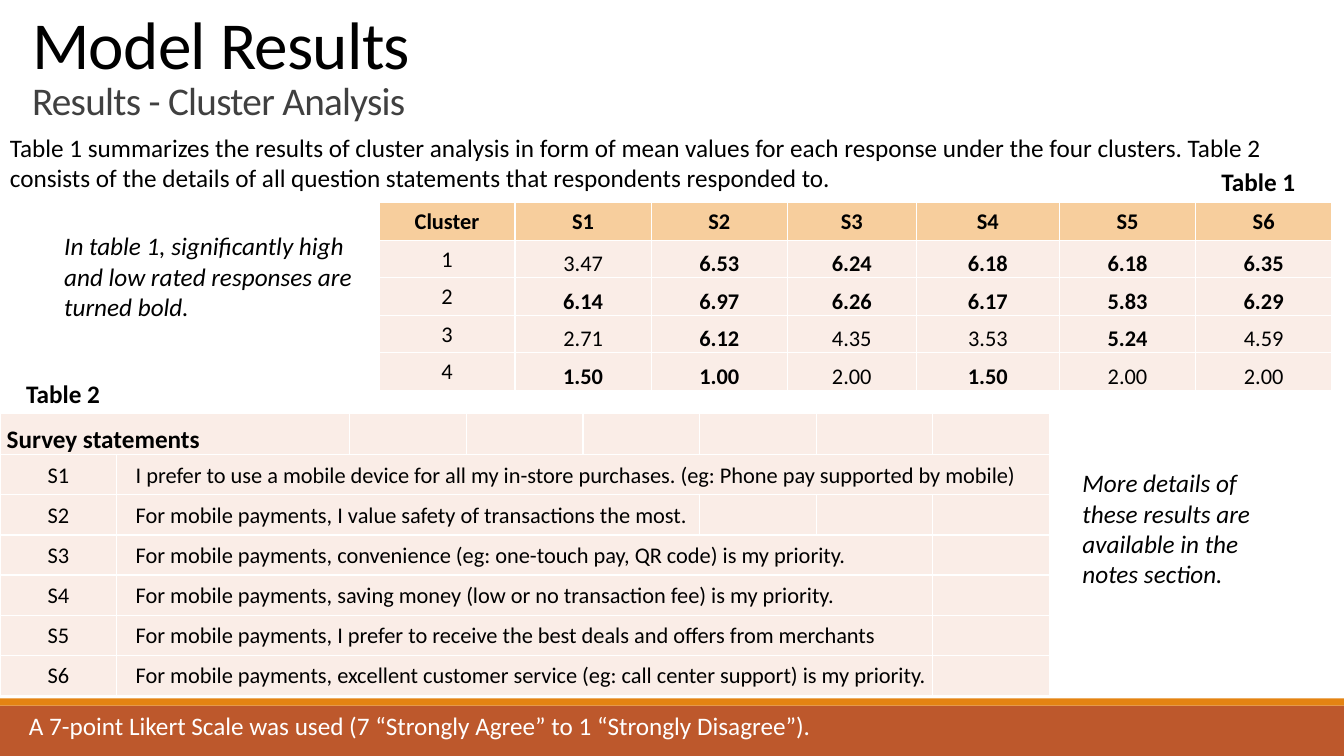
import pptx
import pptx.dml.color
import pptx.enum.shapes
import pptx.enum.text
import pptx.oxml
import pptx.oxml.ns
import pptx.util

Cm = pptx.util.Cm
Pt = pptx.util.Pt
RGBColor = pptx.dml.color.RGBColor
Align = pptx.enum.text.PP_ALIGN
Anchor = pptx.enum.text.MSO_ANCHOR

BLACK = RGBColor(0x00, 0x00, 0x00)
GREY = RGBColor(0x40, 0x40, 0x40)
WHITE = RGBColor(0xFF, 0xFF, 0xFF)
RUST = RGBColor(0xBD, 0x58, 0x2C)
ORANGE = RGBColor(0xE4, 0x83, 0x12)
SAND = RGBColor(0xF7, 0xCE, 0x9D)
BLUSH = RGBColor(0xFA, 0xED, 0xE7)

PAGE_WIDTH, PAGE_HEIGHT = 33.87, 19.05

CLUSTER_WIDTHS = [3.43, 3.43, 3.43, 3.25, 3.61, 3.43, 3.43]
CLUSTER_MEANS = [
    [3.47, 6.53, 6.24, 6.18, 6.18, 6.35],
    [6.14, 6.97, 6.26, 6.17, 5.83, 6.29],
    [2.71, 6.12, 4.35, 3.53, 5.24, 4.59],
    [1.50, 1.00, 2.00, 1.50, 2.00, 2.00],
]
HIGH_MEAN, LOW_MEAN = 5, 1.5

SURVEY_WIDTHS = [2.94, 5.87] + [2.94] * 6
STATEMENTS = [
    ("I prefer to use a mobile device for all my in-store purchases. (eg: Phone pay supported by mobile)", 7),
    ("For mobile payments, I value safety of transactions the most.", 4),
    ("For mobile payments, convenience (eg: one-touch pay, QR code) is my priority.", 6),
    ("For mobile payments, saving money (low or no transaction fee) is my priority.", 6),
    ("For mobile payments, I prefer to receive the best deals and offers from merchants", 6),
    ("For mobile payments, excellent customer service (eg: call center support) is my priority.", 6),
]

SUMMARY = (
    "Table 1 summarizes the results of cluster analysis in form of mean values for each response "
    "under the four clusters. Table 2 consists of the details of all question statements that "
    "respondents responded to."
)
NOTES = [
    ((0, 3.2, 33.87, 1.8), SUMMARY, {}),
    ((30.53, 4.06, 2.79, 1.02), "Table 1", {"bold": True}),
    ((0.41, 9.4, 3.07, 1.02), "Table 2", {"bold": True}),
    ((1.37, 5.69, 8.18, 2.57),
     "In table 1, significantly high and low rated responses are turned bold.", {"italic": True}),
    ((27.03, 11.66, 4.9, 3.33),
     "More details of these results are available in the notes section.", {"italic": True}),
]


def write(para, text, size=18, color=BLACK, **formats):
    """Add one formatted run to a paragraph and return it."""
    span = para.add_run()
    span.text = text
    values = {"name": "Calibri", "size": Pt(size), **formats}
    for name, value in values.items():
        setattr(span.font, name, value)
    span.font.color.rgb = color
    return span


def add_text_frame(page, box):
    """Add a wrapping text box and return its text frame."""
    frame = page.shapes.add_textbox(*map(Cm, box)).text_frame
    frame.word_wrap = True
    return frame


def add_note(page, box, text, **formats):
    """Place a single paragraph of text in the box."""
    write(add_text_frame(page, box).paragraphs[0], text, **formats)


def add_heading(page, box):
    """Place the title and subtitle in the box."""
    frame = add_text_frame(page, box)
    lines = [("Model Results", 48, BLACK), ("Results - Cluster Analysis", 28, GREY)]
    for index, (text, size, color) in enumerate(lines):
        para = frame.add_paragraph() if index else frame.paragraphs[0]
        para.line_spacing = 0.85
        span = write(para, text, size, color)
        span._r.get_or_add_rPr().set("spc", "-50")


def add_footer(page, box):
    """Place the footer band, its top stripe and the scale note."""
    left, top, width, height = box
    stripe = 0.18
    bands = [((left, top, width, height), RUST), ((left, top - stripe, width, stripe), ORANGE)]
    for band_box, color in bands:
        band = page.shapes.add_shape(
            pptx.enum.shapes.MSO_SHAPE.RECTANGLE, *map(Cm, band_box))
        band.shadow.inherit = False
        band.fill.solid()
        band.fill.fore_color.rgb = color
        band.line.fill.background()
    add_note(page, (left + 0.48, top, 29.57, 1.02),
             "A 7-point Likert Scale was used (7 “Strongly Agree” to 1 “Strongly Disagree”).",
             color=WHITE)


def style_cell(cell, color):
    """Give a cell tight margins, white borders and a fill."""
    margins = {"margin_left": 0.03, "margin_right": 0.03, "margin_top": 0.03, "margin_bottom": 0}
    for name, value in margins.items():
        setattr(cell, name, Cm(value))
    properties = cell._tc.get_or_add_tcPr()
    for side in "LRTB":
        properties.append(pptx.oxml.parse_xml(
            f'<a:ln{side} {pptx.oxml.ns.nsdecls("a")} w="12700"><a:solidFill>'
            f'<a:srgbClr val="{WHITE}"/></a:solidFill></a:ln{side}>'))
    cell.fill.solid()
    cell.fill.fore_color.rgb = color


def add_grid(page, left, top, widths, heights, header_color):
    """Add a styled empty table with the given column widths and row heights."""
    table = page.shapes.add_table(
        len(heights), len(widths), Cm(left), Cm(top), Cm(sum(widths)), Cm(sum(heights))).table
    table.first_row = table.horz_banding = False
    for column, width in zip(table.columns, widths):
        column.width = Cm(width)
    for index, (row, height) in enumerate(zip(table.rows, heights)):
        row.height = Cm(height)
        for cell in row.cells:
            style_cell(cell, BLUSH if index else header_color)
    return table


def fill_cell(cell, text, anchor=Anchor.MIDDLE, align=Align.CENTER, size=16, bold=False):
    """Write text into a cell with its anchor and alignment."""
    cell.vertical_anchor = anchor
    para = cell.text_frame.paragraphs[0]
    para.alignment = align
    write(para, text, size, bold=bold)


def add_cluster_table(page, left, top):
    """Place the table of mean values, with high and low means in bold."""
    table = add_grid(page, left, top, CLUSTER_WIDTHS, [0.945] * 5, SAND)
    headers = ["Cluster"] + [f"S{number}" for number in range(1, 7)]
    for column, header in enumerate(headers):
        fill_cell(table.cell(0, column), header, bold=True)
    for row, means in enumerate(CLUSTER_MEANS, 1):
        fill_cell(table.cell(row, 0), str(row))
        for column, mean in enumerate(means, 1):
            notable = mean >= HIGH_MEAN or mean <= LOW_MEAN
            fill_cell(table.cell(row, column), f"{mean:.2f}", Anchor.BOTTOM, bold=notable)


def add_survey_table(page, left, top):
    """Place the table of survey statements."""
    table = add_grid(page, left, top, SURVEY_WIDTHS, [1.05] + [1.01] * 6, BLUSH)
    heading = table.cell(0, 0)
    heading.merge(table.cell(0, 1))
    heading.margin_left = Cm(0.17)
    fill_cell(heading, "Survey statements", Anchor.BOTTOM, Align.LEFT, 18, True)
    for row, (text, columns) in enumerate(STATEMENTS, 1):
        fill_cell(table.cell(row, 0), f"S{row}")
        statement = table.cell(row, 1)
        statement.merge(table.cell(row, columns))
        statement.margin_left = Cm(0.48)
        fill_cell(statement, text, align=Align.LEFT)


def main():
    """Build the slide and save the deck."""
    deck = pptx.Presentation()
    deck.slide_width, deck.slide_height = Cm(PAGE_WIDTH), Cm(PAGE_HEIGHT)
    page = deck.slides.add_slide(deck.slide_layouts[6])
    add_footer(page, (0, 17.78, PAGE_WIDTH, 1.27))
    add_heading(page, (0.56, 0.25, 22.71, 3.53))
    add_cluster_table(page, 9.55, 5.11)
    add_survey_table(page, 0, 10.41)
    for box, text, formats in NOTES:
        add_note(page, box, text, **formats)
    deck.save("out.pptx")


if __name__ == "__main__":
    main()
